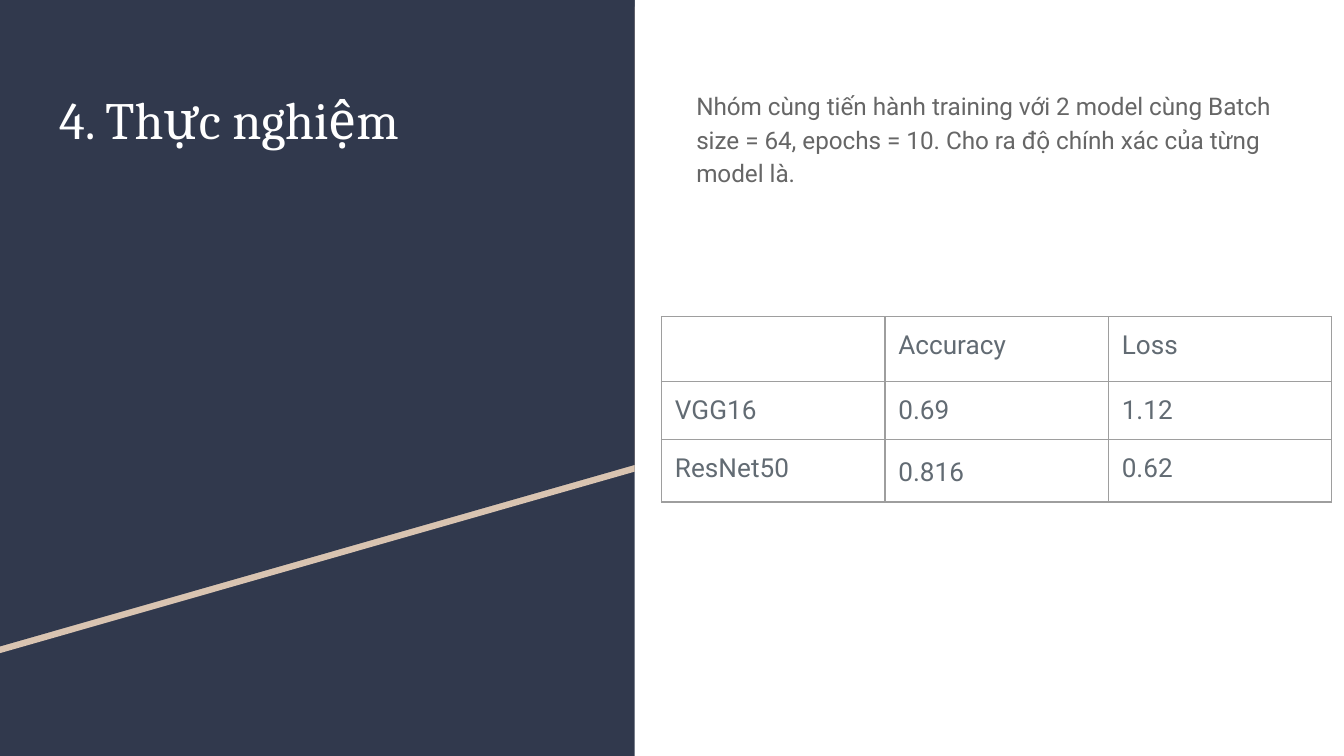
from lxml import etree
from pptx import Presentation
from pptx.dml.color import RGBColor
from pptx.enum.shapes import MSO_SHAPE
from pptx.enum.text import MSO_ANCHOR, MSO_AUTO_SIZE, PP_ALIGN
from pptx.oxml.ns import qn
from pptx.util import Pt

RECTANGLE = MSO_SHAPE.RECTANGLE
TOP, LEFT, NO_AUTOFIT = MSO_ANCHOR.TOP, PP_ALIGN.LEFT, MSO_AUTO_SIZE.NONE
NAVY = RGBColor(0x31, 0x39, 0x4D)
SAND = RGBColor(0xD9, 0xC4, 0xB1)
WHITE = RGBColor(0xFF, 0xFF, 0xFF)
BODY_GREY = RGBColor(0x66, 0x66, 0x66)
TABLE_GREY = RGBColor(0x62, 0x6B, 0x73)
BORDER_GREY = "9E9E9E"
PANEL_WIDTH = 340
MARGIN = Pt(7.2)


def write(paragraph, text, font_name, size, color, line_spacing=1.0):
    paragraph.alignment = LEFT
    paragraph.line_spacing = line_spacing
    paragraph.space_before = Pt(0)
    run = paragraph.add_run()
    run.text = text
    run.font.name = font_name
    run.font.size = Pt(size)
    run.font.color.rgb = color


def paint(shape, color):
    shape.shadow.inherit = False
    shape.fill.solid()
    shape.fill.fore_color.rgb = color
    shape.line.fill.background()


presentation = Presentation()
presentation.slide_width = Pt(720)
presentation.slide_height = Pt(405)
slide = presentation.slides.add_slide(presentation.slide_layouts[1])
shapes = slide.shapes
title, body = shapes.title, slide.placeholders[1]

# Left panel, with a sand stripe showing below the upper navy part
panel = shapes.add_shape(RECTANGLE, 0, 0, Pt(PANEL_WIDTH), Pt(405))
paint(panel, NAVY)
for top, right_edge, left_edge, color in ((3.6, 252.7, 349.9, SAND), (0, 249.1, 346.3, NAVY)):
    builder = shapes.build_freeform(0, Pt(top))
    builder.add_line_segments([
        (Pt(PANEL_WIDTH), Pt(top)),
        (Pt(PANEL_WIDTH), Pt(right_edge)),
        (0, Pt(left_edge)),
    ])
    paint(builder.convert_to_shape(), color)

# Title and body, in front of the panel
for placeholder, left, width, height in ((title, 24.5, 291.6, 197.3), (body, 365.8, 328.3, 322.6)):
    panel.element.getparent().append(placeholder.element)
    placeholder.left, placeholder.top = Pt(left), Pt(39.6)
    placeholder.width, placeholder.height = Pt(width), Pt(height)
    frame = placeholder.text_frame
    frame.word_wrap = True
    frame.auto_size = NO_AUTOFIT
    frame.vertical_anchor = TOP
    frame.margin_left = frame.margin_right = MARGIN
    frame.margin_top = frame.margin_bottom = MARGIN

write(title.text_frame.paragraphs[0], "4. Thực nghiệm", "Cambria", 28, WHITE)
body_paragraph = body.text_frame.paragraphs[0]
write(body_paragraph,
      "Nhóm cùng tiến hành training với 2 model cùng Batch size = 64, "
      "epochs = 10. Cho ra độ chính xác của từng model là.",
      "Roboto", 13, BODY_GREY, 1.15)
properties = body_paragraph._p.get_or_add_pPr()
properties.set("marL", "0")
properties.set("indent", "0")
etree.SubElement(properties, qn("a:buNone"))

# Results table
results = (
    ("", "Accuracy", "Loss"),
    ("VGG16", "0.69", "1.12"),
    ("ResNet50", "0.816", "0.62"),
)
row_heights = (34.8, 31, 33.2)
table = shapes.add_table(3, 3, Pt(354.4), Pt(169.7), Pt(359.1), Pt(sum(row_heights))).table
table.first_row = table.horz_banding = False
for column in table.columns:
    column.width = Pt(119.7)
for row, height, values in zip(table.rows, row_heights, results):
    row.height = Pt(height)
    for cell, value in zip(row.cells, values):
        cell.margin_left = cell.margin_right = MARGIN
        cell.margin_top = cell.margin_bottom = MARGIN
        paragraph = cell.text_frame.paragraphs[0]
        if value:
            write(paragraph, value, "Roboto", 14, TABLE_GREY, 1.15 if value == "0.816" else 1.0)
        else:
            paragraph.font.size = Pt(14)
        # Borders come before the fill in the cell properties
        cell_properties = cell._tc.get_or_add_tcPr()
        for side in ("a:lnL", "a:lnR", "a:lnT", "a:lnB"):
            border = etree.SubElement(cell_properties, qn(side), w=str(Pt(0.75)))
            border_fill = etree.SubElement(border, qn("a:solidFill"))
            etree.SubElement(border_fill, qn("a:srgbClr"), val=BORDER_GREY)
        cell.fill.background()

presentation.save("out.pptx")
